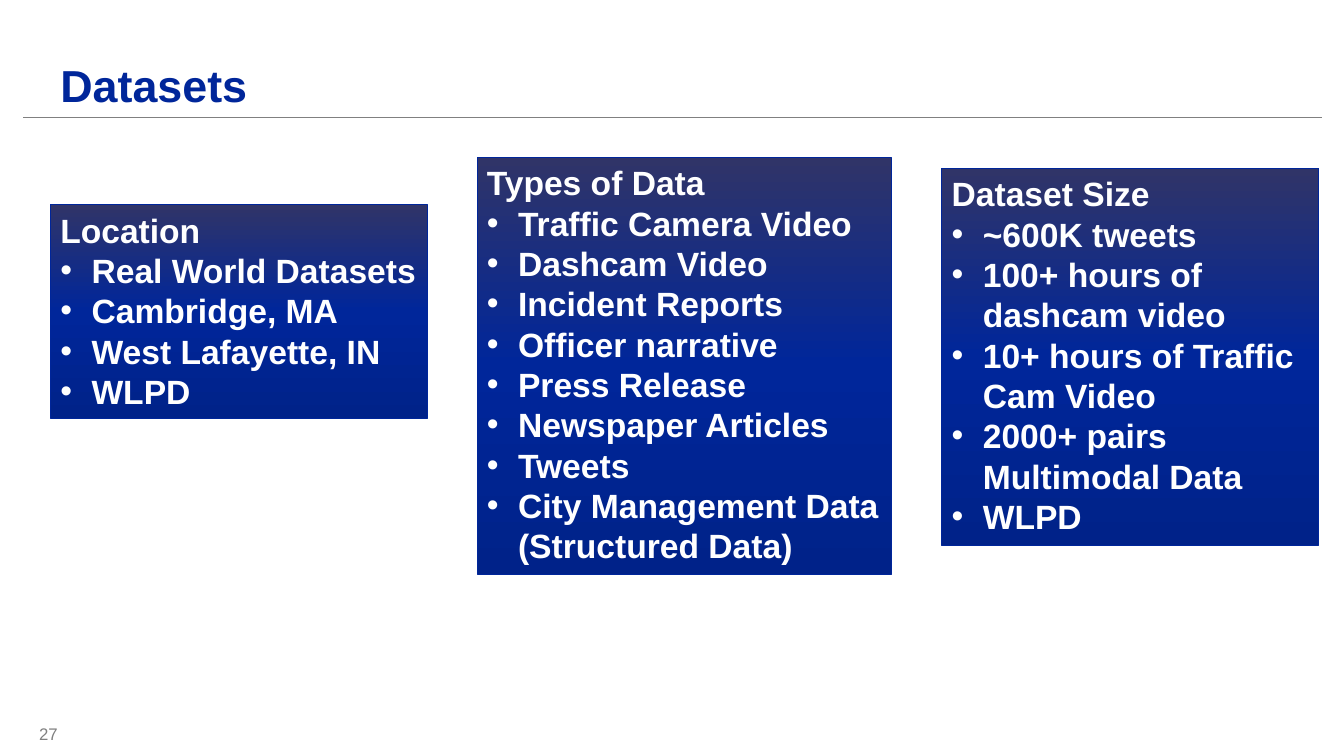
from copy import deepcopy
from dataclasses import dataclass

from lxml import etree
from pptx import Presentation
from pptx.dml.color import RGBColor
from pptx.enum.shapes import MSO_CONNECTOR, MSO_SHAPE
from pptx.enum.text import MSO_ANCHOR, MSO_AUTO_SIZE, PP_ALIGN
from pptx.oxml.ns import qn
from pptx.slide import Slide
from pptx.util import Inches, Pt

STRAIGHT = MSO_CONNECTOR.STRAIGHT
RECTANGLE = MSO_SHAPE.RECTANGLE
TOP, MIDDLE, BOTTOM = MSO_ANCHOR.TOP, MSO_ANCHOR.MIDDLE, MSO_ANCHOR.BOTTOM
FIT_SHAPE = MSO_AUTO_SIZE.SHAPE_TO_FIT_TEXT
LEFT = PP_ALIGN.LEFT


@dataclass(frozen=True)
class Theme:
    font: str = "Arial"
    blue: str = "00269A"
    gray: str = "808080"
    white: str = "FFFFFF"
    gradient: tuple[tuple[float, str], ...] = (
        (0, "303468"), (0.5, "00269A"), (1, "002289"))
    title_size: float = 32
    panel_size: float = 24
    number_size: float = 12
    line_width: float = 0.5
    bullet_indent: float = 0.31


@dataclass(frozen=True)
class Box:
    left: float
    top: float
    width: float
    height: float

    def lengths(self) -> tuple[int, ...]:
        return tuple(Inches(v) for v in (self.left, self.top, self.width, self.height))


@dataclass(frozen=True)
class Panel:
    box: Box
    heading: str
    items: tuple[str, ...]


THEME = Theme()
PANELS = (
    Panel(Box(0.5, 2.03, 3.74, 2.12), "Location",
          ("Real World Datasets", "Cambridge, MA", "West Lafayette, IN", "WLPD")),
    Panel(Box(4.73, 1.56, 4.11, 4.14), "Types of Data",
          ("Traffic Camera Video", "Dashcam Video", "Incident Reports",
           "Officer narrative", "Press Release", "Newspaper Articles", "Tweets",
           "City Management Data (Structured Data)")),
    Panel(Box(9.34, 1.67, 3.74, 3.74), "Dataset Size",
          ("~600K tweets", "100+ hours of dashcam video",
           "10+ hours of Traffic Cam Video", "2000+ pairs Multimodal Data", "WLPD")),
)


def rgb(color: str) -> RGBColor:
    return RGBColor.from_string(color)


def style_runs(paragraph, size: float, color: str, bold: bool) -> None:
    for run in paragraph.runs:
        run.font.name = THEME.font
        run.font.size = Pt(size)
        run.font.bold = bold
        run.font.color.rgb = rgb(color)


def add_label(slide: Slide, box: Box, text: str, size: float, color: str,
              anchor: MSO_ANCHOR, bold: bool = False, spacing: float = 1.0) -> None:
    frame = slide.shapes.add_textbox(*box.lengths()).text_frame
    frame.word_wrap = True
    frame.vertical_anchor = anchor
    frame.text = text
    frame.paragraphs[0].line_spacing = spacing
    style_runs(frame.paragraphs[0], size, color, bold)


def add_rule(slide: Slide, left: float, right: float, y: float) -> None:
    rule = slide.shapes.add_connector(
        STRAIGHT, Inches(left), Inches(y), Inches(right), Inches(y))
    rule.line.color.rgb = rgb(THEME.gray)
    rule.line.width = Pt(THEME.line_width)
    etree.SubElement(rule._element.spPr, qn("a:effectLst"))


def fill_gradient(shape) -> None:
    shape.fill.gradient()
    shape.fill.gradient_angle = 270
    # The default gradient has two stops; the panels need a third
    stop_list = shape._element.spPr.find(".//" + qn("a:gsLst"))
    stop_list.append(deepcopy(stop_list[-1]))
    for stop, (position, color) in zip(shape.fill.gradient_stops, THEME.gradient):
        stop.position = position
        stop.color.rgb = rgb(color)


def add_bullet(paragraph) -> None:
    properties = paragraph._p.get_or_add_pPr()
    indent = Inches(THEME.bullet_indent)
    properties.set("marL", str(indent))
    properties.set("indent", str(-indent))
    etree.SubElement(properties, qn("a:buFont"), typeface=THEME.font)
    etree.SubElement(properties, qn("a:buChar"), char="•")


def add_panel(slide: Slide, panel: Panel) -> None:
    shape = slide.shapes.add_shape(RECTANGLE, *panel.box.lengths())
    shape.shadow.inherit = False
    fill_gradient(shape)
    shape.line.color.rgb = rgb(THEME.blue)
    shape.line.width = Pt(THEME.line_width)

    frame = shape.text_frame
    frame.word_wrap = True
    frame.auto_size = FIT_SHAPE
    frame.vertical_anchor = TOP
    frame.text = "\n".join((panel.heading, *panel.items))
    for index, paragraph in enumerate(frame.paragraphs):
        paragraph.alignment = LEFT
        if index:
            add_bullet(paragraph)
        style_runs(paragraph, THEME.panel_size, THEME.white, bold=True)


def main() -> None:
    deck = Presentation()
    deck.slide_width, deck.slide_height = Inches(13.33), Inches(7.5)
    slide = deck.slides.add_slide(deck.slide_layouts[6])

    # Heading with its rule
    add_rule(slide, 0.23, 13.11, 1.16)
    add_label(slide, Box(0.5, 0.15, 12.61, 1.01), "Datasets", THEME.title_size,
              THEME.blue, BOTTOM, bold=True, spacing=0.9)

    # Page number
    add_label(slide, Box(0.29, 7.08, 0.59, 0.4), "27", THEME.number_size,
              THEME.gray, MIDDLE)

    # Dataset panels
    for panel in PANELS:
        add_panel(slide, panel)

    deck.save("out.pptx")


if __name__ == "__main__":
    main()
